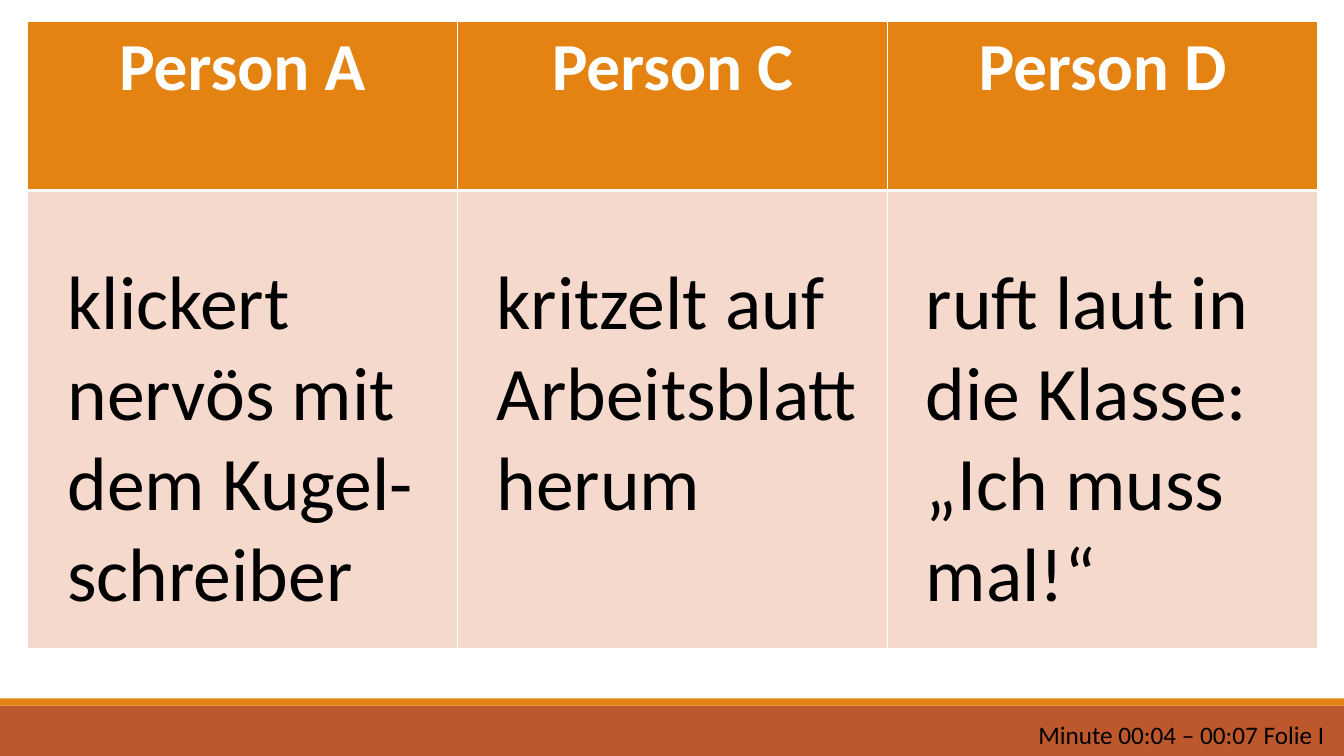
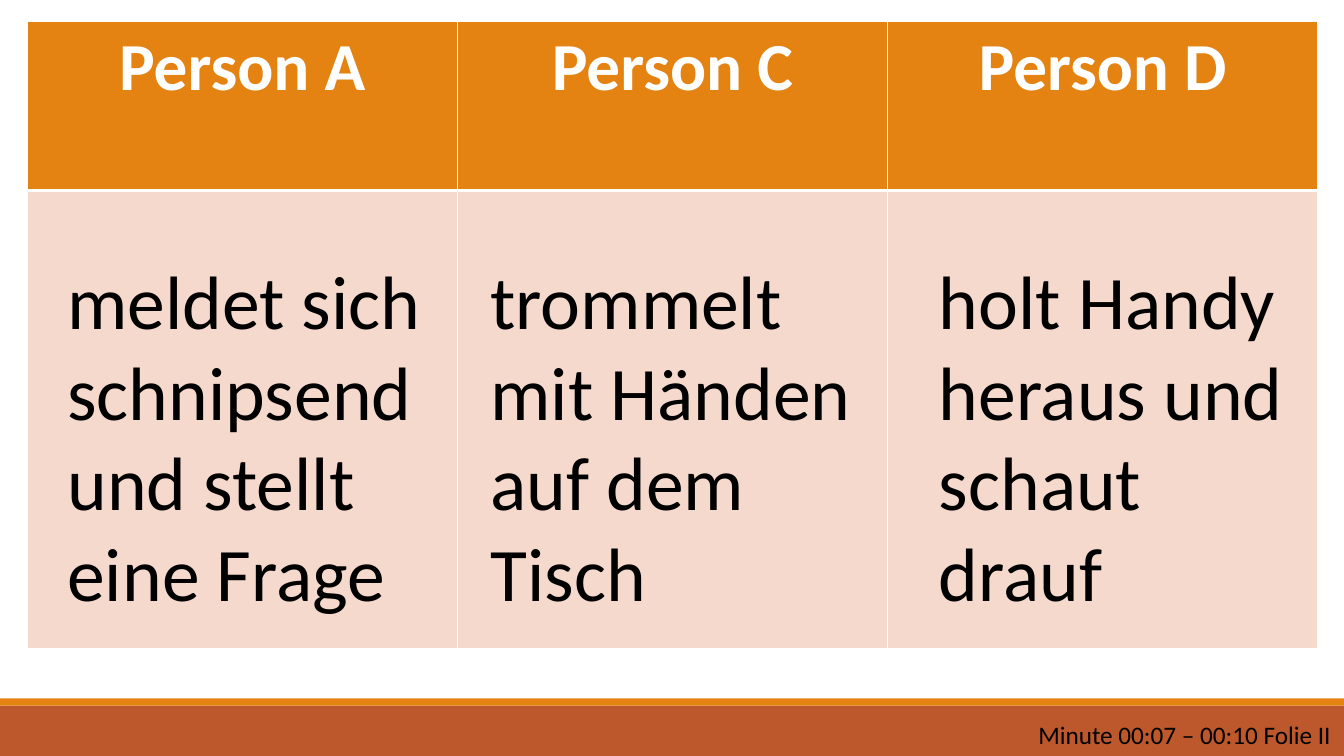
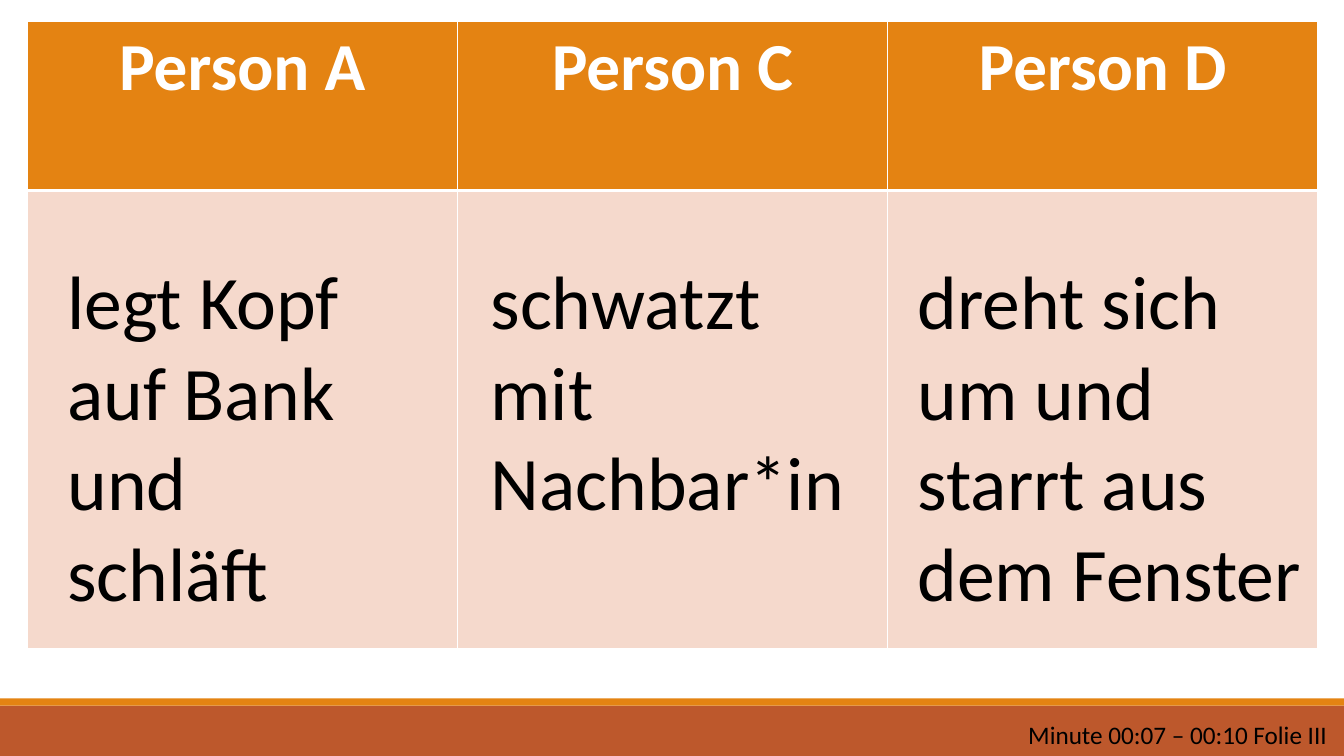
from dataclasses import dataclass

import pptx
import pptx.dml.color
import pptx.enum.shapes
import pptx.enum.text
import pptx.oxml
import pptx.oxml.ns
import pptx.util

Inches = pptx.util.Inches
Pt = pptx.util.Pt

COLORS = {
    "band": "BD582C",
    "stripe": "E48312",
    "header": "E48312",
    "body": "F5D9CC",
    "border": "FFFFFF",
    "header_text": "FFFFFF",
    "text": "000000",
}
FONT = "Calibri"

# Slide and table grid, in inches
SLIDE_W, SLIDE_H = 13.33, 7.5
TABLE_X, TABLE_Y, TABLE_W = 0.27, 0.21, 12.8
ROW_HEIGHTS = (1.68, 4.54)
PERSONS = ("Person A", "Person C", "Person D")
COL_W = TABLE_W / len(PERSONS)
NOTE_Y, LINE_H = 2.47, 0.91
BAND_H, STRIPE_H = 0.5, 0.07
FOOTER_Y, FOOTER_H = 7.09, 0.4


@dataclass(frozen=True)
class Note:
    """What one person does; indent is measured from the column's left edge."""
    paragraphs: tuple[str, ...]
    indent: float
    width: float
    lines: int = 4


@dataclass(frozen=True)
class Scene:
    footer: str
    footer_x: float
    notes: tuple[Note, ...]


SCENES = (
    Scene("Minute 00:04 – 00:07 Folie I", 10.2, (
        Note(("klickert nervös mit dem Kugel-schreiber",), 0.3, 3.89),
        Note(("kritzelt auf Arbeitsblatt herum",), 0.29, 3.9, 3),
        Note(("ruft laut in die Klasse:", "„Ich muss mal!“"), 0.28, 3.67),
    )),
    Scene("Minute 00:07 – 00:10 Folie II", 10.2, (
        Note(("meldet sich schnipsend und stellt eine Frage",), 0.3, 3.89),
        Note(("trommelt mit Händen auf dem Tisch",), 0.23, 4.15),
        Note(("holt Handy heraus und schaut drauf",), 0.41, 3.65),
    )),
    Scene("Minute 00:07 – 00:10 Folie III", 10.1, (
        Note(("legt Kopf auf Bank und schläft",), 0.3, 3.54),
        Note(("schwatzt mit Nachbar*in",), 0.23, 3.87, 3),
        Note(("dreht sich um und starrt aus dem Fenster",), 0.2, 4.24),
    )),
)


def rgb(name: str) -> pptx.dml.color.RGBColor:
    return pptx.dml.color.RGBColor.from_string(COLORS[name])


def add_run(p, text: str, size: float, color: str = "text", bold: bool = False) -> None:
    r = p.add_run()
    r.text = text
    r.font.name = FONT
    r.font.size = Pt(size)
    r.font.bold = bold
    r.font.color.rgb = rgb(color)


def add_band(s, y: float, height: float, color: str) -> None:
    sp = s.shapes.add_shape(pptx.enum.shapes.MSO_SHAPE.RECTANGLE,
                            0, Inches(y), Inches(SLIDE_W), Inches(height))
    sp.shadow.inherit = False
    sp.fill.solid()
    sp.fill.fore_color.rgb = rgb(color)
    sp.line.fill.background()


def add_text(s, x: float, y: float, width: float, height: float,
             paragraphs: tuple[str, ...], size: float) -> None:
    sp = s.shapes.add_textbox(Inches(x), Inches(y), Inches(width), Inches(height))
    tf = sp.text_frame
    tf.word_wrap = True
    tf.auto_size = pptx.enum.text.MSO_AUTO_SIZE.SHAPE_TO_FIT_TEXT
    for i, text in enumerate(paragraphs):
        p = tf.add_paragraph() if i else tf.paragraphs[0]
        add_run(p, text, size)


def style_cell(cell, fill: str, bottom: float = 1) -> None:
    cell.fill.solid()
    cell.fill.fore_color.rgb = rgb(fill)
    # Borders come before the fill in the cell properties
    tc_pr = cell._tc.get_or_add_tcPr()
    for i, (side, width) in enumerate((("L", 1), ("R", 1), ("T", 1), ("B", bottom))):
        tc_pr.insert(i, pptx.oxml.parse_xml(
            f'<a:ln{side} {pptx.oxml.ns.nsdecls("a")} w="{Pt(width)}"><a:solidFill>'
            f'<a:srgbClr val="{COLORS["border"]}"/></a:solidFill></a:ln{side}>'))


def add_person_table(s) -> None:
    frame = s.shapes.add_table(len(ROW_HEIGHTS), len(PERSONS),
                               Inches(TABLE_X), Inches(TABLE_Y),
                               Inches(TABLE_W), Inches(sum(ROW_HEIGHTS)))
    table = frame.table
    for row, height in zip(table.rows, ROW_HEIGHTS):
        row.height = Inches(height)
    for col, person in enumerate(PERSONS):
        table.columns[col].width = Inches(COL_W)
        header = table.cell(0, col)
        style_cell(header, "header", bottom=3)
        style_cell(table.cell(1, col), "body")
        p = header.text_frame.paragraphs[0]
        p.alignment = pptx.enum.text.PP_ALIGN.CENTER
        add_run(p, person, 48, "header_text", bold=True)


def add_scene(prs, scene: Scene) -> None:
    s = prs.slides.add_slide(prs.slide_layouts[6])
    # Bands at the foot of the slide
    add_band(s, SLIDE_H - BAND_H, BAND_H, "band")
    add_band(s, SLIDE_H - BAND_H - STRIPE_H, STRIPE_H, "stripe")
    # Table with one note per column
    add_person_table(s)
    for col, note in enumerate(scene.notes):
        add_text(s, TABLE_X + col * COL_W + note.indent, NOTE_Y,
                 note.width, note.lines * LINE_H + 0.1, note.paragraphs, 54)
    # Time span and slide number
    add_text(s, scene.footer_x, FOOTER_Y, SLIDE_W - scene.footer_x, FOOTER_H,
             (scene.footer,), 18)


def main() -> None:
    prs = pptx.Presentation()
    prs.slide_width = Inches(SLIDE_W)
    prs.slide_height = Inches(SLIDE_H)
    for scene in SCENES:
        add_scene(prs, scene)
    prs.save("out.pptx")


if __name__ == "__main__":
    main()
